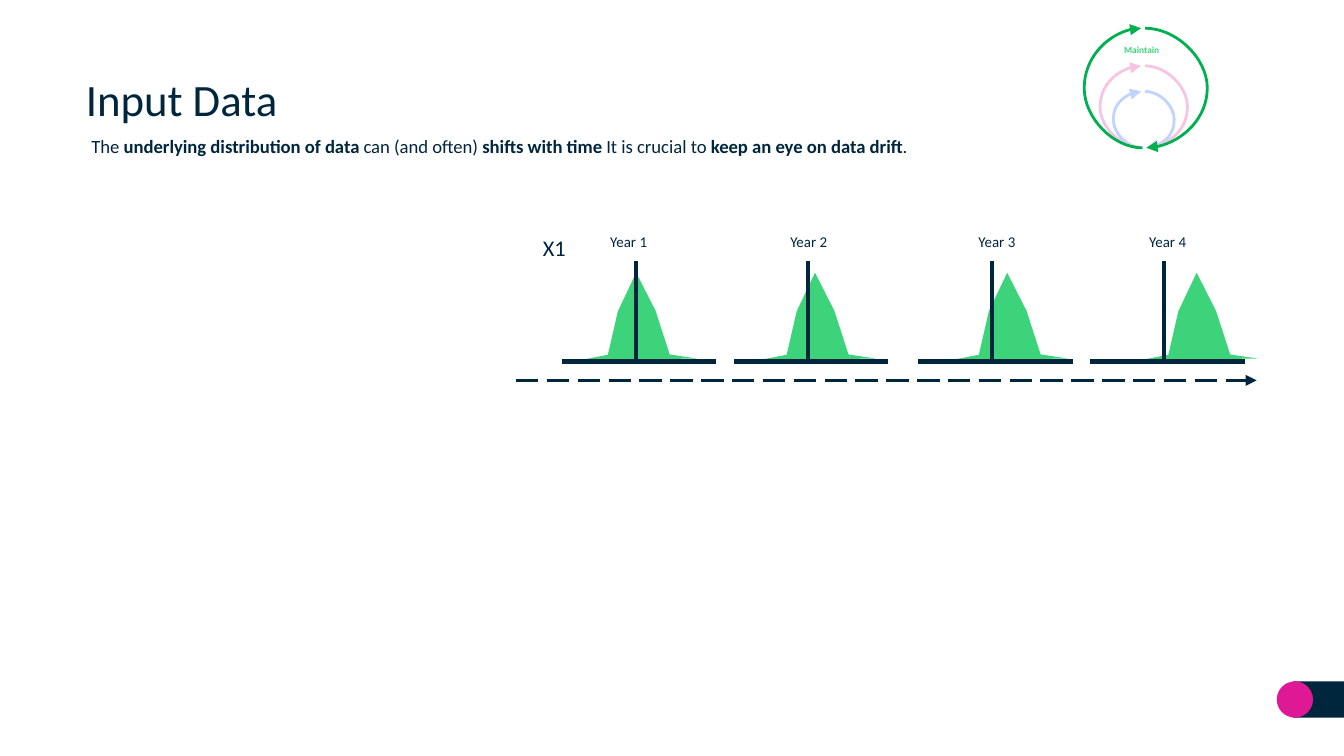
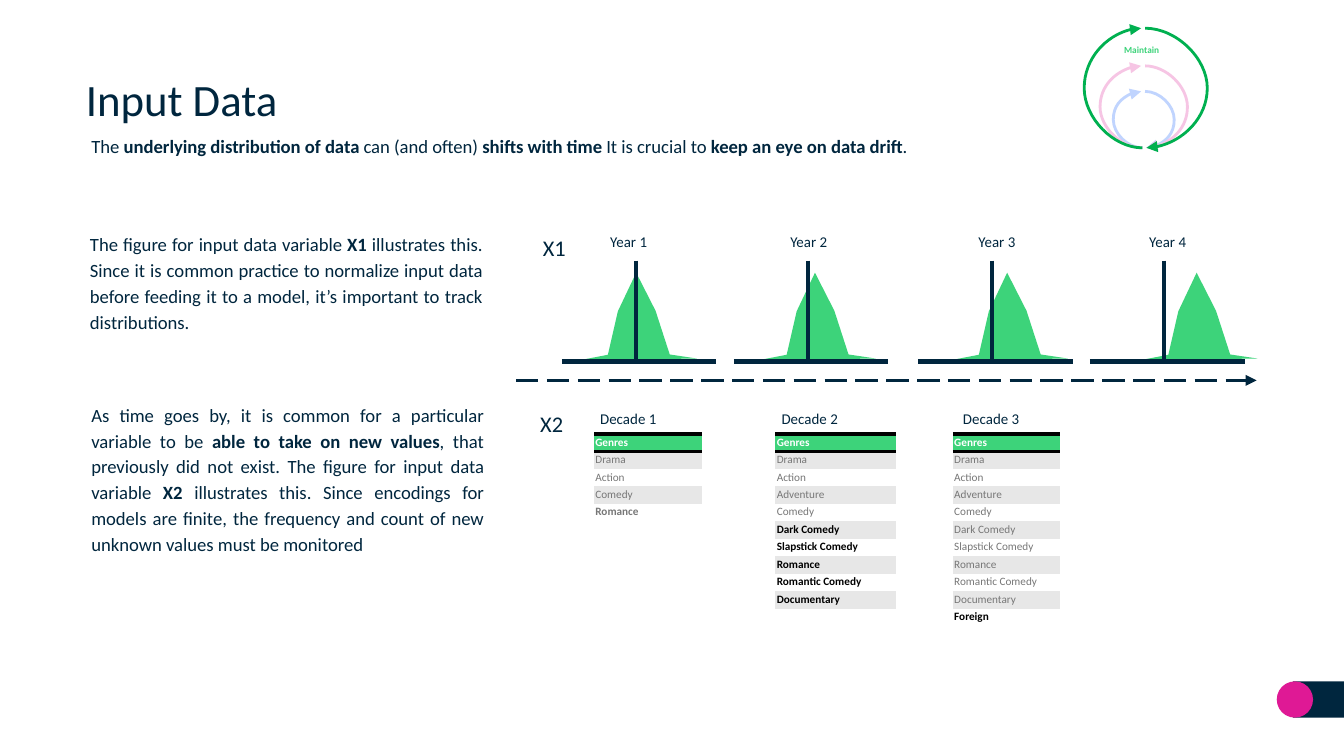
import dataclasses
import typing

import lxml.etree
import pptx
import pptx.dml.color
import pptx.enum.dml
import pptx.enum.shapes
import pptx.enum.text
import pptx.oxml.ns
import pptx.util

Inches = pptx.util.Inches
Pt = pptx.util.Pt
qn = pptx.oxml.ns.qn
ALIGN = pptx.enum.text.PP_ALIGN
SHAPE = pptx.enum.shapes.MSO_SHAPE
CONNECTOR = pptx.enum.shapes.MSO_CONNECTOR


@dataclasses.dataclass(frozen=True)
class Theme:
    font: str = "Calibri"
    navy: str = "00263E"
    pink: str = "DF1995"
    blue: str = "0654FE"
    green: str = "3DD37A"
    ring_green: str = "00B050"
    white: str = "FFFFFF"
    black: str = "000000"
    gray: str = "777777"
    stripe: str = "E7E7E7"
    title: float = 24
    variable: float = 12
    body: float = 10
    label: float = 8
    cell: float = 6
    ring_label: float = 5
    spacing: float = 1.15
    inset: float = 0.01


THEME = Theme()


class Span(typing.NamedTuple):
    text: str
    bold: bool = False


class Year(typing.NamedTuple):
    label: str
    label_x: float
    curve_x: float
    axis_x: float


class Ring(typing.NamedTuple):
    color: str
    top: float
    left_bulge: float
    right_bulge: float


class Genre(typing.NamedTuple):
    name: str
    color: str = THEME.gray
    bold: bool = False


class Decade(typing.NamedTuple):
    label: str
    label_x: float
    table_x: float
    width: float
    genres: list[Genre]


def new_genres(*names: str) -> list[Genre]:
    return [Genre(name, THEME.black, True) for name in names]


def known_genres(*names: str) -> list[Genre]:
    return [Genre(name) for name in names]


YEARS = [
    Year("Year 1", 4.53, 4.30, 4.18),
    Year("Year 2", 5.87, 5.63, 5.46),
    Year("Year 3", 7.27, 7.06, 6.83),
    Year("Year 4", 8.54, 8.47, 8.11),
]
BELL = [(0, 0.63), (0.21, 0.6), (0.3, 0.28), (0.45, 0), (0.58, 0.29), (0.67, 0.62), (0.87, 0.66)]
BELL_TOP = 2.03
BELL_ROTATION = 357.2
MEAN_OFFSET = 0.55
AXIS_Y = 2.69

INNER_RINGS = [Ring(THEME.blue, 0.68, 0.22, 0.22), Ring(THEME.pink, 0.49, 0.32, 0.32)]
OUTER_RING = Ring(THEME.ring_green, 0.21, 0.44, 0.47)
RING_BOTTOM = 1.1
RING_WIDTH = 0.01

DECADES = [
    Decade("Decade 1", 4.27, 4.42, 0.8,
           known_genres("Drama", "Action", "Comedy") + [Genre("Romance", bold=True)]),
    Decade("Decade 2", 5.62, 5.77, 0.9,
           known_genres("Drama", "Action", "Adventure", "Comedy")
           + new_genres("Dark Comedy", "Slapstick Comedy", "Romance", "Romantic Comedy",
                        "Documentary")),
    Decade("Decade 3", 6.97, 7.09, 0.8,
           known_genres("Drama", "Action", "Adventure", "Comedy", "Dark Comedy",
                        "Slapstick Comedy", "Romance", "Romantic Comedy", "Documentary")
           + new_genres("Foreign")),
]
ROW_HEIGHT = 0.13
NO_TABLE_STYLE = "{2D5ABB26-0587-4C30-8999-92F81FD0307C}"

LEAD = [
    Span("The "), Span("underlying distribution of data ", True), Span("can (and often) "),
    Span("shifts with time ", True), Span("It is crucial to "),
    Span("keep an eye on data drift", True), Span(". "),
]
X1_TEXT = [
    Span("The figure for input data variable "), Span("X1", True),
    Span(" illustrates this. Since it is common practice to normalize input data before "
         "feeding it to a model, it’s important to track distributions."),
]
X2_TEXT = [
    Span("As time goes by, it is common for a particular variable to be "),
    Span("able to take on new values", True),
    Span(", that previously did not exist. The figure for input data variable "),
    Span("X2", True),
    Span(" illustrates this. Since encodings for models are finite, the frequency and count "
         "of new unknown values must be monitored"),
]


def rgb(color: str) -> pptx.dml.color.RGBColor:
    return pptx.dml.color.RGBColor.from_string(color)


def add_span(para, span: Span, size: float, color: str) -> None:
    run = para.add_run()
    run.text = span.text
    run.font.name = THEME.font
    run.font.size = Pt(size)
    run.font.bold = span.bold
    run.font.color.rgb = rgb(color)


def set_margins(target, inset: float) -> None:
    target.margin_left = target.margin_right = Inches(inset)
    target.margin_top = target.margin_bottom = Inches(inset)


def add_text(shapes, left: float, top: float, width: float, height: float, spans: list[Span],
             size: float, align: ALIGN = ALIGN.LEFT, color: str = THEME.navy):
    box = shapes.add_textbox(Inches(left), Inches(top), Inches(width), Inches(height))
    frame = box.text_frame
    frame.word_wrap = True
    frame.auto_size = pptx.enum.text.MSO_AUTO_SIZE.SHAPE_TO_FIT_TEXT
    set_margins(frame, THEME.inset)
    para = frame.paragraphs[0]
    para.alignment = align
    para.line_spacing = THEME.spacing
    for span in spans:
        add_span(para, span, size, color)
    return box


def paint(shape, color: str) -> None:
    shape.shadow.inherit = False
    shape.fill.solid()
    shape.fill.fore_color.rgb = rgb(color)
    shape.line.fill.background()


def add_block(shapes, kind: SHAPE, left: float, top: float, width: float, height: float,
              color: str):
    shape = shapes.add_shape(kind, Inches(left), Inches(top), Inches(width), Inches(height))
    paint(shape, color)
    return shape


def add_line(shapes, x1: float, y1: float, x2: float, y2: float, width: float,
             color: str = THEME.navy, kind: CONNECTOR = CONNECTOR.STRAIGHT,
             dashed: bool = False, arrow: bool = False):
    line = shapes.add_connector(kind, Inches(x1), Inches(y1), Inches(x2), Inches(y2))
    line.line.color.rgb = rgb(color)
    line.line.width = Pt(width)
    if dashed:
        line.line.dash_style = pptx.enum.dml.MSO_LINE.LONG_DASH
    properties = line.element.spPr
    if arrow:
        lxml.etree.SubElement(properties.find(qn("a:ln")), qn("a:tailEnd"), type="triangle")
    lxml.etree.SubElement(properties, qn("a:effectLst"))
    return line


def add_ring_half(shapes, ring: Ring, left: float, bulge: float, turned: bool) -> None:
    """Draw half a ring; a turned half bulges left and points up."""
    arc = add_line(shapes, left, ring.top, left + RING_WIDTH, RING_BOTTOM, 1.5, ring.color,
                   CONNECTOR.CURVE, arrow=True)
    properties = arc.element.spPr
    if turned:
        properties.find(qn("a:xfrm")).set("rot", "10800000")
    geometry = properties.find(qn("a:prstGeom"))
    guides = geometry.find(qn("a:avLst"))
    if guides is None:
        guides = lxml.etree.SubElement(geometry, qn("a:avLst"))
    ratio = round(bulge / RING_WIDTH * 100000)
    lxml.etree.SubElement(guides, qn("a:gd"), name="adj1", fmla=f"val {ratio}")


def add_ring(shapes, ring: Ring) -> None:
    add_ring_half(shapes, ring, 8.49, ring.left_bulge, True)
    add_ring_half(shapes, ring, 8.52, ring.right_bulge, False)


def add_cycle_badge(slide) -> None:
    shapes = slide.shapes.add_group_shape().shapes
    for ring in INNER_RINGS:
        add_ring(shapes, ring)
    veil = add_block(shapes, SHAPE.OVAL, 8.02, 0.15, 1, 1, THEME.white)
    shade = veil.element.spPr.find(qn("a:solidFill")).find(qn("a:srgbClr"))
    lxml.etree.SubElement(shade, qn("a:alpha"), val="75000")
    add_ring(shapes, OUTER_RING)
    add_text(shapes, 8.13, 0.31, 0.73, 0.12, [Span("Maintain", True)], THEME.ring_label,
             ALIGN.CENTER, THEME.green)


def add_distribution(slide, year: Year) -> None:
    shapes = slide.shapes.add_group_shape().shapes
    points = [(Inches(year.curve_x + x), Inches(BELL_TOP + y)) for x, y in BELL]
    builder = shapes.build_freeform(*points[0])
    builder.add_line_segments(points[1:], close=True)
    bell = builder.convert_to_shape()
    paint(bell, THEME.green)
    bell.rotation = BELL_ROTATION
    mean_x = year.axis_x + MEAN_OFFSET
    add_line(shapes, mean_x, 1.94, mean_x, 2.7, 2.25)
    add_line(shapes, year.axis_x, AXIS_Y, year.axis_x + 1.15, AXIS_Y, 2.25)
    add_text(slide.shapes, year.label_x, 1.7, 0.55, 0.13, [Span(year.label)], THEME.label)


def add_border(cell, side: str) -> None:
    border = lxml.etree.SubElement(cell._tc.get_or_add_tcPr(), qn(f"a:{side}"),
                                   w=str(Pt(2)))
    fill = lxml.etree.SubElement(border, qn("a:solidFill"))
    lxml.etree.SubElement(fill, qn("a:srgbClr"), val=THEME.black)


def add_genre_table(slide, decade: Decade) -> None:
    rows = [Genre("Genres", THEME.white, True)] + decade.genres
    frame = slide.shapes.add_table(len(rows), 1, Inches(decade.table_x), Inches(3.23),
                                   Inches(decade.width), Inches(ROW_HEIGHT * len(rows)))
    table = frame.table
    table.first_row = table.horz_banding = False
    table._tbl.tblPr.find(qn("a:tableStyleId")).text = NO_TABLE_STYLE
    for index, genre in enumerate(rows):
        table.rows[index].height = Inches(ROW_HEIGHT)
        cell = table.cell(index, 0)
        set_margins(cell, THEME.inset)
        fill = THEME.stripe if index % 2 else THEME.white
        if index == 0:
            fill = THEME.green
            add_border(cell, "lnT")
            add_border(cell, "lnB")
        cell.fill.solid()
        cell.fill.fore_color.rgb = rgb(fill)
        add_span(cell.text_frame.paragraphs[0], Span(genre.name, genre.bold), THEME.cell,
                 genre.color)
    add_text(slide.shapes, decade.label_x, 3.02, 0.81, 0.18, [Span(decade.label)],
             THEME.label, ALIGN.CENTER)


def add_drift_slide(deck):
    """Add a slide with the title, lead, badge, corner mark and X1 timeline."""
    slide = deck.slides.add_slide(deck.slide_layouts[6])
    shapes = slide.shapes
    add_block(shapes, SHAPE.RECTANGLE, 9.62, 5.07, 0.39, 0.27, THEME.navy)
    add_block(shapes, SHAPE.OVAL, 9.5, 5.07, 0.27, 0.27, THEME.pink)
    title = add_text(shapes, 0.54, 0.46, 8.95, 0.55, [Span("Input Data")], THEME.title).text_frame
    title.auto_size = pptx.enum.text.MSO_AUTO_SIZE.NONE
    title.vertical_anchor = pptx.enum.text.MSO_ANCHOR.MIDDLE
    title.paragraphs[0].line_spacing = 1.0
    set_margins(title, 0.1)
    add_text(shapes, 0.67, 0.97, 6.43, 0.41, LEAD, THEME.body, ALIGN.JUSTIFY)
    add_line(shapes, 3.84, 2.83, 9.35, 2.83, 1.5, dashed=True, arrow=True)
    add_text(shapes, 4.03, 1.7, 0.24, 0.25, [Span("X1")], THEME.variable)
    for year in YEARS:
        add_distribution(slide, year)
    add_cycle_badge(slide)
    return slide


def add_new_values(slide) -> None:
    add_text(slide.shapes, 0.66, 1.7, 2.94, 0.99, X1_TEXT, THEME.body, ALIGN.JUSTIFY)
    add_text(slide.shapes, 0.67, 2.97, 2.94, 1.57, X2_TEXT, THEME.body, ALIGN.JUSTIFY)
    add_text(slide.shapes, 4.01, 3.01, 0.26, 0.25, [Span("X2")], THEME.variable)
    for decade in DECADES:
        add_genre_table(slide, decade)


def main() -> None:
    deck = pptx.Presentation()
    deck.slide_width = Inches(10)
    deck.slide_height = Inches(10 * 9 / 16)
    add_drift_slide(deck)
    add_new_values(add_drift_slide(deck))
    deck.save("out.pptx")


if __name__ == "__main__":
    main()
